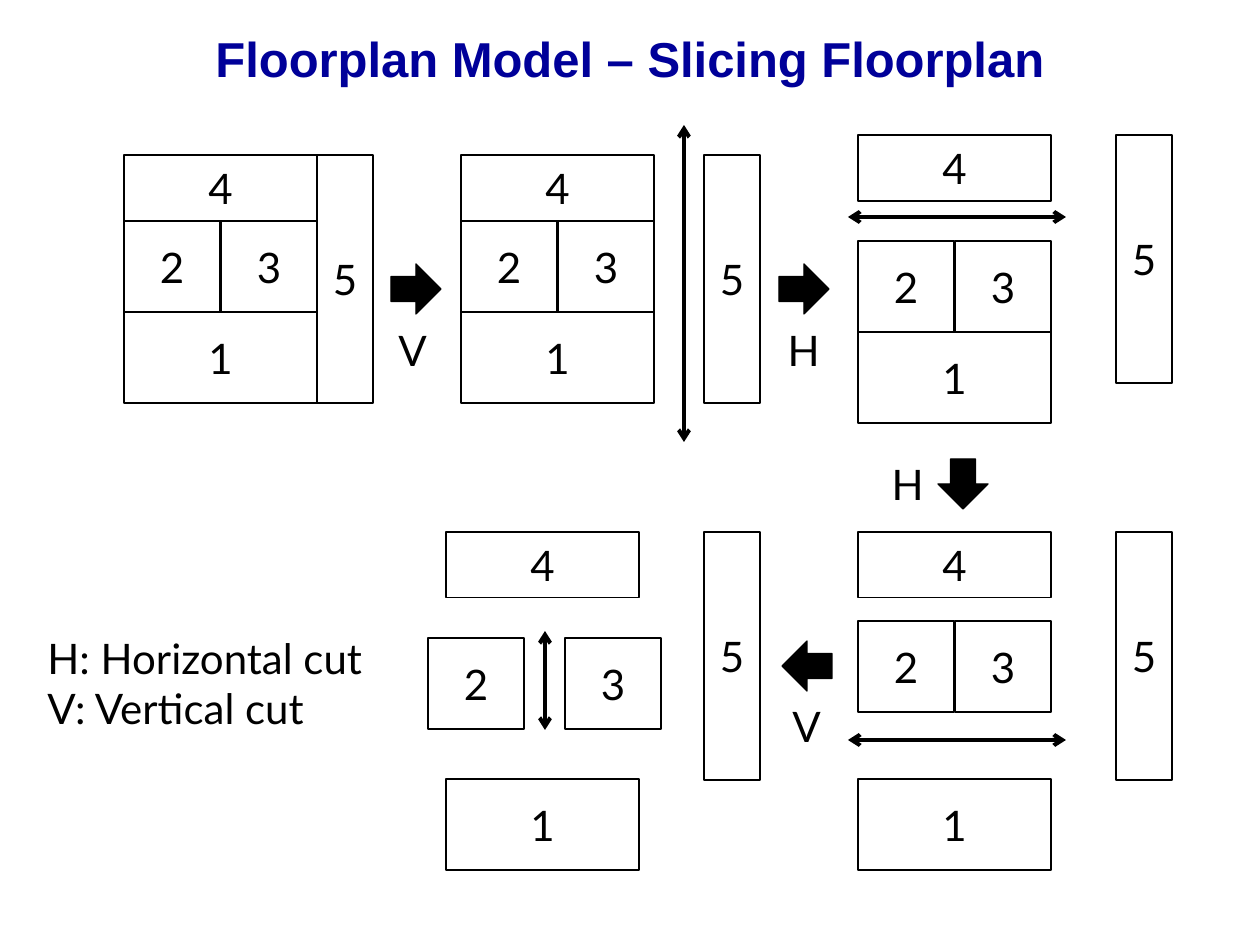
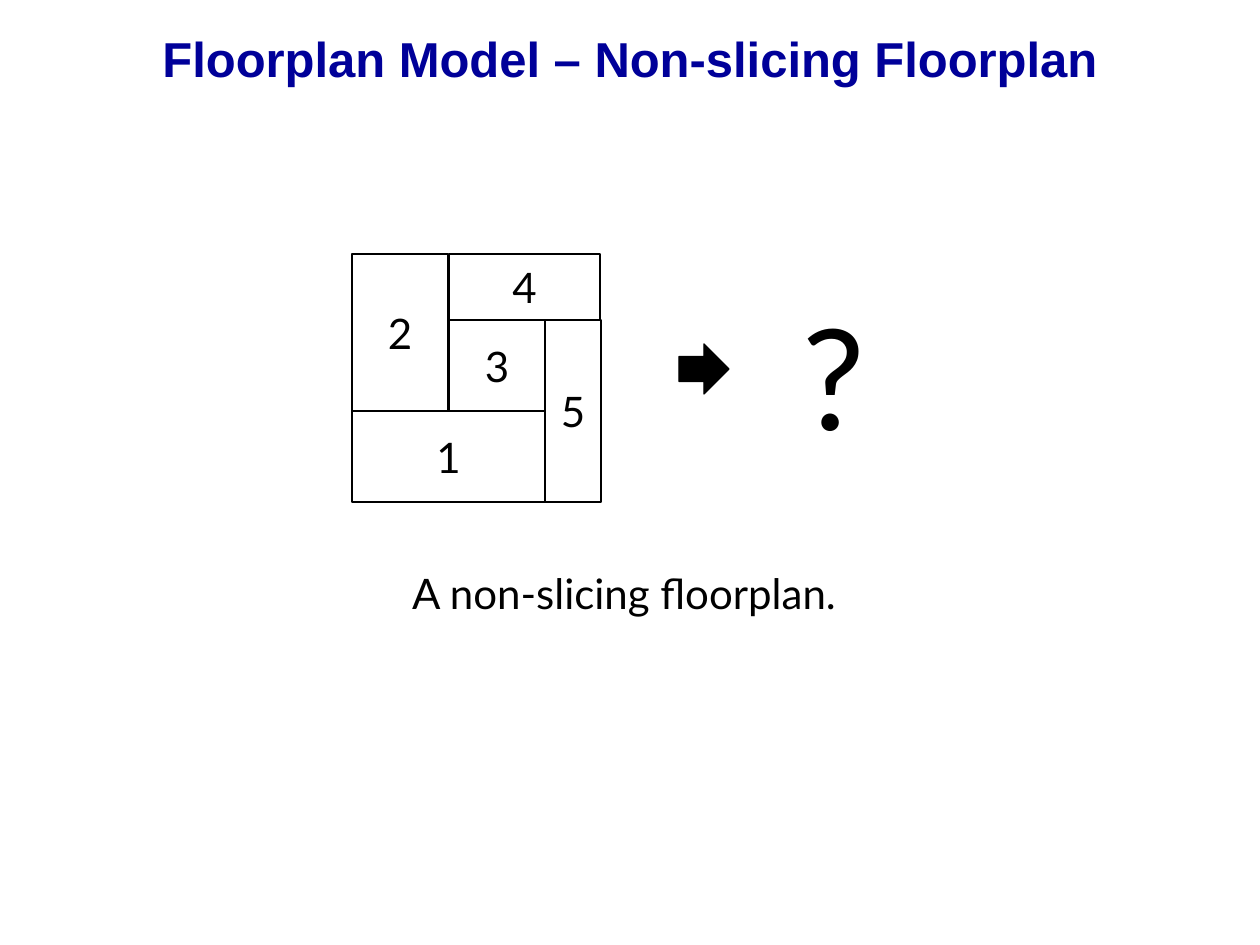
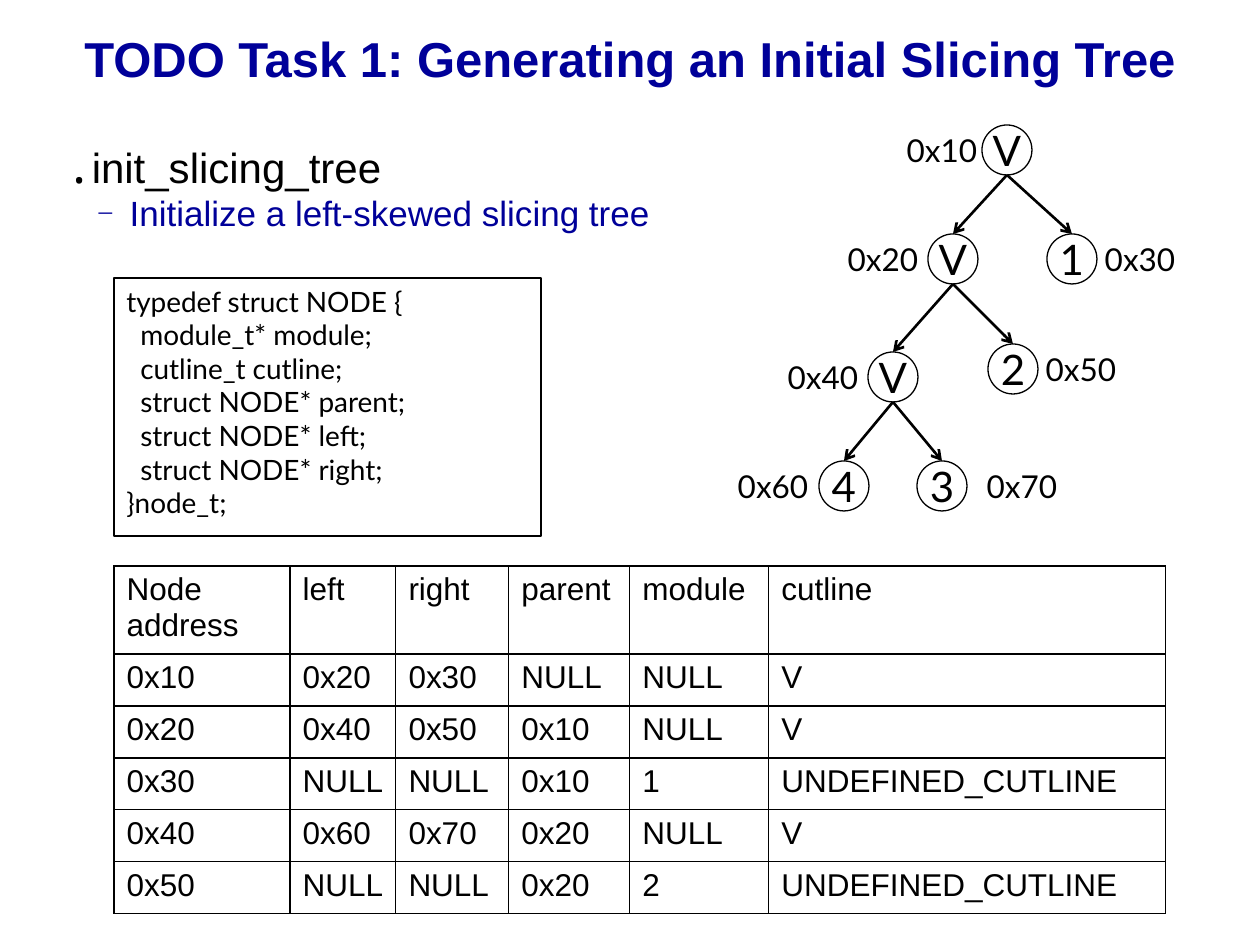
from lxml import etree
from pptx import Presentation
from pptx.dml.color import RGBColor
from pptx.enum.shapes import MSO_CONNECTOR, MSO_SHAPE
from pptx.enum.text import MSO_ANCHOR, MSO_AUTO_SIZE, PP_ALIGN
from pptx.oxml.ns import qn
from pptx.util import Emu, Pt

RECTANGLE, OVAL, ARROW = MSO_SHAPE.RECTANGLE, MSO_SHAPE.OVAL, MSO_SHAPE.RIGHT_ARROW
STRAIGHT = MSO_CONNECTOR.STRAIGHT
LEFT, CENTER = PP_ALIGN.LEFT, PP_ALIGN.CENTER
TOP, MIDDLE = MSO_ANCHOR.TOP, MSO_ANCHOR.MIDDLE

COLORS = {"ink": "000000", "accent": "000099"}
HEADING_FONT, LABEL_FONT = "Arial", "Lato"
SCALE = 914400 / 126
THIN = 0.75
TITLE_ONLY, TITLE_AND_BODY = 5, 1


def px(*lengths):
    return [Emu(round(length * SCALE)) for length in lengths]


def color(name):
    return RGBColor.from_string(COLORS[name])


def write(frame, text, font=LABEL_FONT, size=24, ink="ink", bold=False,
          align=CENTER, anchor=TOP, wrap=True):
    """Fill a text frame, one paragraph for each line of the text."""
    frame.word_wrap = wrap
    frame.auto_size = MSO_AUTO_SIZE.NONE
    frame.vertical_anchor = anchor
    for number, line in enumerate(text.split("\n")):
        para = frame.add_paragraph() if number else frame.paragraphs[0]
        para.alignment = align
        para.space_before = para.space_after = Pt(0)
        span = para.add_run()
        span.text = line
        span.font.name, span.font.size, span.font.bold = font, Pt(size), bold
        span.font.color.rgb = color(ink)
    return frame.paragraphs


def indent(para, margin, hanging=0):
    props = para._p.get_or_add_pPr()
    props.set("marL", str(px(margin)[0]))
    props.set("indent", str(-px(hanging)[0]))
    return props


def bullet(para, char, percent, margin, hanging):
    props = indent(para, margin, hanging)
    etree.SubElement(props, qn("a:buSzPct"), val=str(percent * 1000))
    etree.SubElement(props, qn("a:buFont"), typeface=HEADING_FONT)
    etree.SubElement(props, qn("a:buChar"), char=char)


class Slides:
    def __init__(self):
        self.deck = Presentation()
        self.deck.slide_width, self.deck.slide_height = px(1260, 945)
        self.page = None

    def new_page(self, title, layout=TITLE_ONLY, left=94):
        self.page = self.deck.slides.add_slide(self.deck.slide_layouts[layout])
        box = self.page.shapes.title
        box.left, box.top, box.width, box.height = px(left, 0, 1260 - 2 * left, 116)
        write(box.text_frame, title, font=HEADING_FONT, size=28,
              ink="accent", bold=True, anchor=MIDDLE)

    def body(self, items, left, top, width, height):
        """Items are (text, level, size, ink, bullet settings)."""
        box = self.page.placeholders[1]
        box.left, box.top, box.width, box.height = px(left, top, width, height)
        paras = write(box.text_frame, "\n".join(item[0] for item in items),
                      font=HEADING_FONT, align=LEFT)
        for para, (_, level, size, ink, marker) in zip(paras, items):
            para.level = level
            para.runs[0].font.size = Pt(size)
            para.runs[0].font.color.rgb = color(ink)
            bullet(para, *marker)

    def shape(self, kind, left, top, width, height, text="", filled=False, **style):
        box = self.page.shapes.add_shape(kind, *px(left, top, width, height))
        box.shadow.inherit = False
        if filled:
            box.fill.solid()
            box.fill.fore_color.rgb = color("ink")
        else:
            box.fill.background()
        box.line.color.rgb = color("ink")
        box.line.width = Pt(THIN)
        if text:
            write(box.text_frame, text, **{"anchor": MIDDLE, "wrap": False, **style})
        return box

    def arrow(self, left, top, turn=0):
        self.shape(ARROW, left, top, 50, 50, filled=True).rotation = turn

    def label(self, text, left, top, width, height=63, **style):
        box = self.page.shapes.add_textbox(*px(left, top, width, height))
        write(box.text_frame, text, **style)

    def line(self, x1, y1, x2, y2, width=1.5, both=False):
        link = self.page.shapes.add_connector(STRAIGHT, *px(x1, y1, x2, y2))
        link.line.color.rgb = color("ink")
        link.line.width = Pt(width)
        stroke = link.line._get_or_add_ln()
        for end in ("a:headEnd", "a:tailEnd") if both else ("a:tailEnd",):
            etree.SubElement(stroke, qn(end), type="arrow")
        etree.SubElement(link._element.spPr, qn("a:effectLst"))

    def cut(self, x1, y1, x2, y2):
        self.line(x1, y1, x2, y2, width=2.25, both=True)

    def table(self, rows, left, top, widths, heights):
        frame = self.page.shapes.add_table(
            len(rows), len(widths), *px(left, top, sum(widths), sum(heights)))
        grid = frame.table
        grid.first_row = grid.horz_banding = False
        for column, width in zip(grid.columns, px(*widths)):
            column.width = width
        for row, height, texts in zip(grid.rows, px(*heights), rows):
            row.height = height
            for cell, text in zip(row.cells, texts):
                write(cell.text_frame, text, font=HEADING_FONT, size=18, align=LEFT)
                self.cell_borders(cell)
                cell.fill.background()

    def cell_borders(self, cell):
        props = cell._tc.get_or_add_tcPr()
        for side in ("a:lnL", "a:lnR", "a:lnT", "a:lnB"):
            edge = etree.SubElement(props, qn(side), w=str(Pt(THIN)))
            fill = etree.SubElement(edge, qn("a:solidFill"))
            etree.SubElement(fill, qn("a:srgbClr"), val=COLORS["ink"])


slides = Slides()

# Modules of the floorplan
WIDE, HALF, NARROW = 193, 96, 56
LOW, HIGH, FULL = 66, 91, 248


def floorplan(left, top, middle, bottom, right, pair_left=None, pair_step=97):
    pair_left = left if pair_left is None else pair_left
    slides.shape(RECTANGLE, left, bottom, WIDE, HIGH, "1")
    slides.shape(RECTANGLE, pair_left, middle, HALF, HIGH, "2")
    slides.shape(RECTANGLE, pair_left + pair_step, middle, HALF, HIGH, "3")
    slides.shape(RECTANGLE, left, top, WIDE, LOW, "4")
    slides.shape(RECTANGLE, right, top, NARROW, FULL, "5")


# Slide 1: slicing floorplan, cut step by step
slides.new_page("Floorplan Model – Slicing Floorplan")
floorplan(124, 155, 221, 312, right=317)
floorplan(461, 155, 221, 312, right=704)
floorplan(858, 135, 241, 332, right=1116)
floorplan(858, 532, 621, 779, right=1116)
floorplan(446, 532, 638, 779, right=704, pair_left=428, pair_step=137)

slides.cut(684, 125, 684, 442)
for y in (217, 740):
    slides.cut(848, y, 1066, y)
slides.cut(545, 631, 545, 730)

for x, y, turn in ((391, 264, 0), (779, 264, 0), (938, 459, 90), (782, 641, 180)):
    slides.arrow(x, y, turn)
for text, x, y in (("V", 378, 318), ("H", 769, 318), ("H", 873, 452), ("V", 772, 694)):
    slides.label(text, x, y, 69)
slides.label("H: Horizontal cut\nV: Vertical cut", 35, 626, 397, 113, align=LEFT)

# Slide 2: non-slicing floorplan
slides.new_page("Floorplan Model – Non-slicing Floorplan")
slides.label("A non-slicing floorplan.", 282, 561, 684)
for text, x, y, width, height in (
        ("1", 352, 411, WIDE, HIGH),
        ("2", 352, 254, HALF, LOW + HIGH),
        ("3", 449, 320, HALF, HIGH),
        ("4", 449, 254, 151, LOW),
        ("5", 545, 320, NARROW, 2 * HIGH)):
    slides.shape(RECTANGLE, x, y, width, height, text)
slides.arrow(679, 344)
slides.label("?", 759, 284, 149, 180, size=80)

# Slide 3: initial slicing tree
slides.new_page("TODO Task 1: Generating an Initial Slicing Tree", TITLE_AND_BODY, left=0)
slides.body([
    ("init_slicing_tree", 0, 24, "ink", ("\u2024", 120, 25, 25)),
    ("Initialize a left-skewed slicing tree", 1, 20, "accent", ("─", 55, 63, 31)),
], 54, 135, 1150, 633)

# Tree: address -> (text, left, top, left of the address label)
NODE = 50
TREE = {
    "0x10": ("V", 982, 125, 878),
    "0x20": ("V", 928, 234, 819),
    "0x30": ("1", 1047, 234, 1076),
    "0x40": ("V", 868, 352, 759),
    "0x50": ("2", 988, 344, 1017),
    "0x60": ("4", 819, 461, 709),
    "0x70": ("3", 917, 461, 958),
}
CHILDREN = {"0x10": ("0x20", "0x30"), "0x20": ("0x40", "0x50"), "0x40": ("0x60", "0x70")}
for address, (text, x, y, label_x) in TREE.items():
    slides.shape(OVAL, x, y, NODE, NODE, text)
    slides.label(address, label_x, y, 128, NODE, size=18)
    for child in CHILDREN.get(address, ()):
        _, child_x, child_y, _ = TREE[child]
        slides.line(x + NODE / 2, y + NODE, child_x + NODE / 2, child_y)

# Node structure
MEMBERS = ["module_t* module;", "cutline_t cutline;", "struct NODE* parent;",
           "struct NODE* left;", "struct NODE* right;"]
code = slides.shape(RECTANGLE, 114, 278, 427, 258,
                    "\n".join(["typedef struct NODE {", *MEMBERS, "}node_t;"]),
                    size=16, align=LEFT, anchor=TOP, wrap=True)
for member in code.text_frame.paragraphs[1:-1]:
    indent(member, 14)

# Node table
slides.table([
    ("Node\naddress", "left", "right", "parent", "module", "cutline"),
    ("0x10", "0x20", "0x30", "NULL", "NULL", "V"),
    ("0x20", "0x40", "0x50", "0x10", "NULL", "V"),
    ("0x30", "NULL", "NULL", "0x10", "1", "UNDEFINED_CUTLINE"),
    ("0x40", "0x60", "0x70", "0x20", "NULL", "V"),
    ("0x50", "NULL", "NULL", "0x20", "2", "UNDEFINED_CUTLINE"),
], 114, 566, (176, 106, 113, 121, 139, 397), (88, *[52] * 5))

slides.deck.save("out.pptx")
